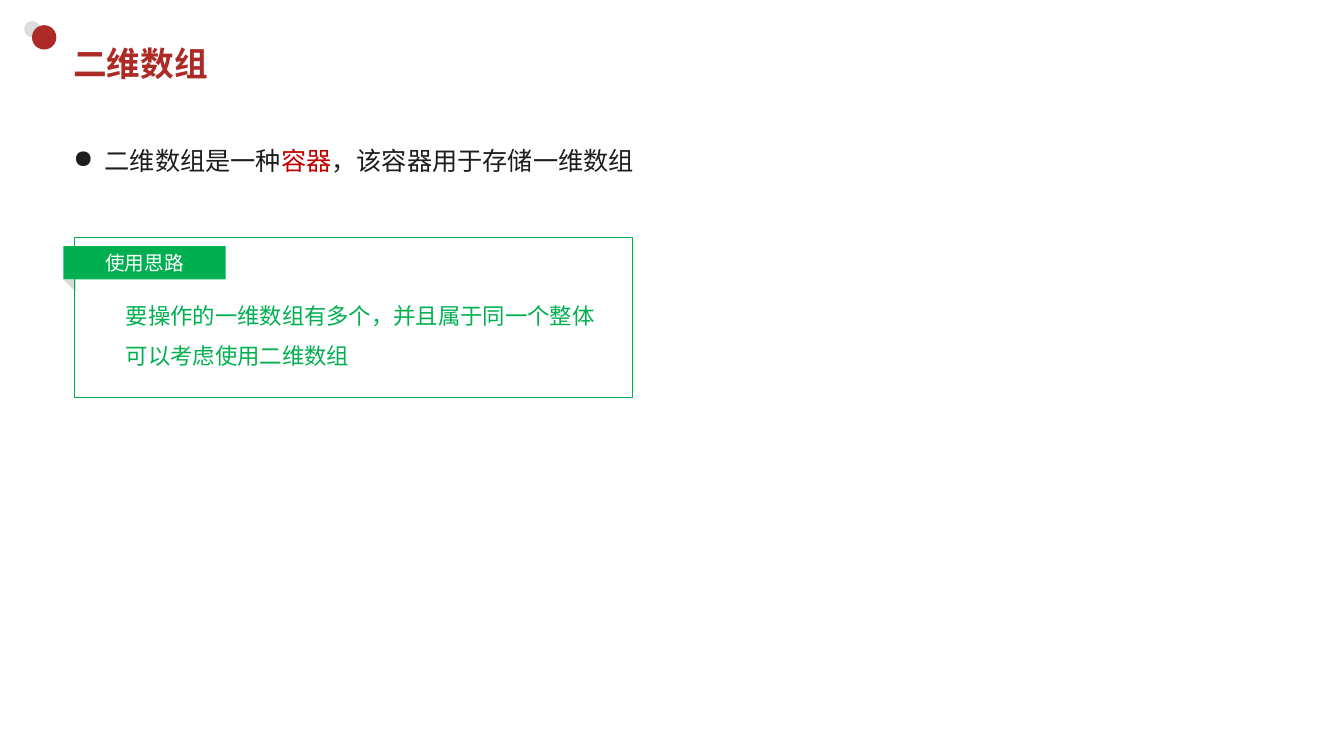
import pptx
import pptx.util
import pptx.dml.color
import pptx.enum.shapes
import pptx.enum.text
import pptx.oxml.ns
import lxml.etree

SHAPE = pptx.enum.shapes.MSO_SHAPE
ALIGN = pptx.enum.text.PP_ALIGN
ANCHOR = pptx.enum.text.MSO_ANCHOR
COLS, ROWS = 128, 72
WIDE, HIGH = pptx.util.Inches(13.333), pptx.util.Inches(7.5)

RED, GREEN, GREY, INK = "AD2B26", "00B050", "D9D9D9", "1B1E1D"
MONO, SANS, LATIN = "Noto Sans Mono", "Noto Sans CJK JP", "Roboto"


def color(code):
    return pptx.dml.color.RGBColor.from_string(code)


def place(box):
    """Turn grid columns and rows into slide lengths."""
    x, y, w, h = box
    return (round(x * WIDE / COLS), round(y * HIGH / ROWS),
            round(w * WIDE / COLS), round(h * HIGH / ROWS))


def inner(box, x, y, w, h):
    """A box whose corner is offset from the corner of another."""
    return box[0] + x, box[1] + y, w, h


def draw(slide, kind, box, fill=None, line=None):
    shape = slide.shapes.add_shape(kind, *place(box))
    shape.shadow.inherit = False
    if fill:
        shape.fill.solid()
        shape.fill.fore_color.rgb = color(fill)
    else:
        shape.fill.background()
    if line:
        shape.line.color.rgb = color(line)
        shape.line.width = pptx.util.Pt(0.75)
    else:
        shape.line.fill.background()
    return shape


def style(run, size, face, code, bold=False):
    font = run.font
    font.size, font.name, font.bold = pptx.util.Pt(size), face, bold
    font.color.rgb = color(code)
    asian = lxml.etree.SubElement(run._r.rPr, pptx.oxml.ns.qn("a:ea"))
    asian.set("typeface", face)


def write(slide, box, text, size, face, code, bold=False, space=None):
    shape = slide.shapes.add_textbox(*place(box))
    frame = shape.text_frame
    frame.word_wrap = True
    frame.text = text
    for para in frame.paragraphs:
        para.line_spacing = space
        for run in para.runs:
            style(run, size, face, code, bold)
    return frame


def header(slide, box):
    # Two overlapping dots
    draw(slide, SHAPE.OVAL, inner(box, 0, 0, 1.55, 1.55), "DADDDC")
    draw(slide, SHAPE.OVAL, inner(box, 0.75, 0.4, 2.32, 2.32), RED)
    # Title
    frame = write(slide, inner(box, 3.75, 1.55, 112.7, 5), "二维数组",
                  24, MONO, RED, bold=True)
    frame.vertical_anchor = ANCHOR.MIDDLE


def point(slide, box):
    frame = write(slide, box, "二维数组是一种", 18, SANS, INK, space=1.5)
    para = frame.paragraphs[0]
    # Bullet with hanging indent
    props = para._p.get_or_add_pPr()
    indent = pptx.util.Inches(0.31)
    props.set("marL", str(indent))
    props.set("indent", str(-indent))
    mark = lxml.etree.SubElement(props, pptx.oxml.ns.qn("a:buChar"))
    mark.set("char", "●")
    # Key word and the rest of the line
    for text, code in (("容器", "C00000"), ("，该容器用于存储一维数组", INK)):
        run = para.add_run()
        run.text = text
        style(run, 18, SANS, code)


def card(slide, box):
    # Fold behind the tab, then the frame
    fold = draw(slide, SHAPE.ISOSCELES_TRIANGLE,
                inner(box, -0.96, 3.84, 1.63, 0.86), GREY)
    fold.rotation = 44.2
    draw(slide, SHAPE.RECTANGLE, box, line=GREEN)
    # Tab
    tab = draw(slide, SHAPE.RECTANGLE, inner(box, -1.06, 0.77, 15.46, 3.17), GREEN)
    frame = tab.text_frame
    frame.text = "使用思路"
    frame.vertical_anchor = ANCHOR.MIDDLE
    para = frame.paragraphs[0]
    para.alignment = ALIGN.CENTER
    style(para.runs[0], 14, LATIN, "FFFFFF")
    # Advice
    write(slide, inner(box, 3.94, 4.32, 55, 8.35),
          "要操作的一维数组有多个，并且属于同一个整体\n可以考虑使用二维数组",
          16, MONO, GREEN, space=1.5)


def main():
    deck = pptx.Presentation()
    deck.slide_width, deck.slide_height = WIDE, HIGH
    slide = deck.slides.add_slide(deck.slide_layouts[6])
    header(slide, (2.3, 2, 117, 7))
    card(slide, (7.1, 22.66, 53.1, 15.17))
    point(slide, (6.05, 11.9, 65, 4.9))
    deck.save("out.pptx")


if __name__ == "__main__":
    main()
